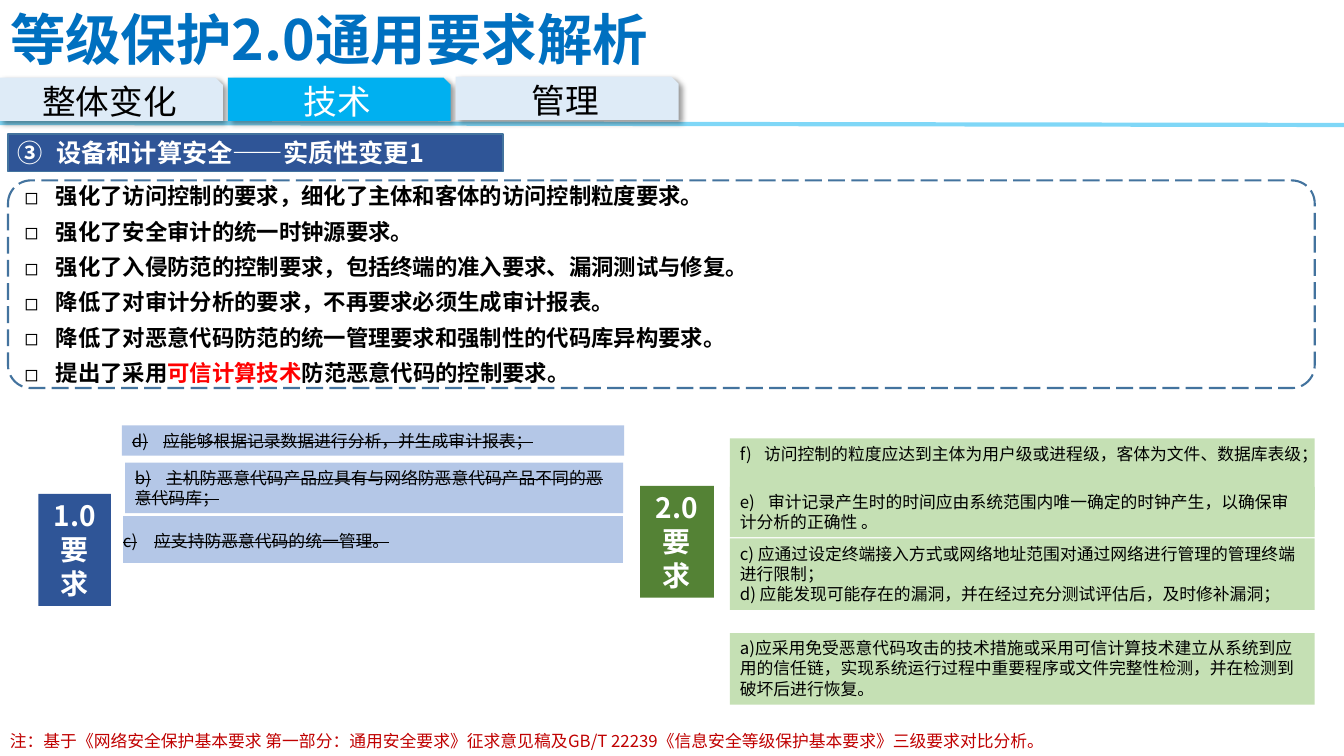
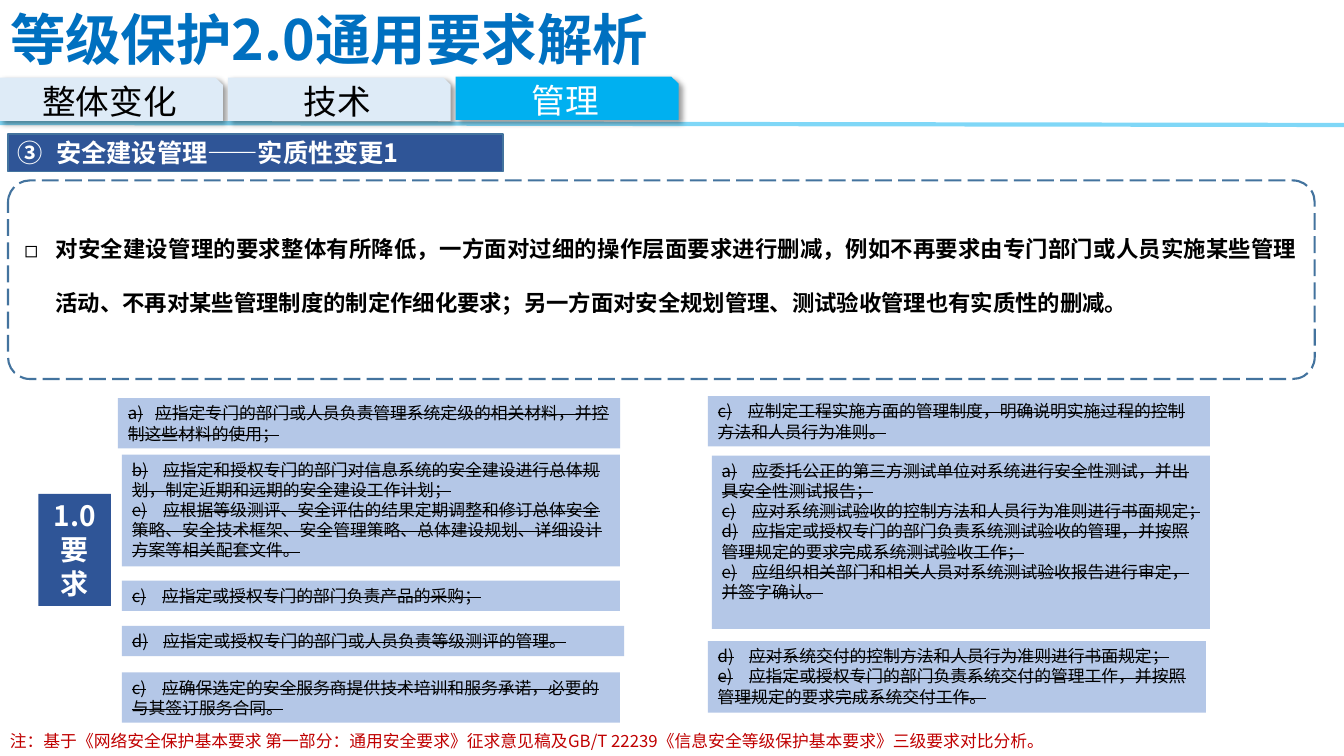
import pptx
import pptx.util
import pptx.dml.color
import pptx.enum.dml
import pptx.enum.shapes
import pptx.enum.text
import pptx.oxml
import pptx.oxml.ns

PX = 9144  # 100 px to the inch
FONT = "Noto Sans CJK SC"
COLORS = {
    "title": "0070C0", "accent": "00B0F0", "tab": "DEEBF7", "navy": "2F5597",
    "outline": "43739E", "old": "B4C7E7", "new": "C5E0B4", "green": "548235",
    "note": "C00000", "red": "FF0000", "black": "000000", "white": "FFFFFF",
}
RGB = {name: pptx.dml.color.RGBColor.from_string(value) for name, value in COLORS.items()}
ALIGN = pptx.enum.text.PP_ALIGN
ANCHOR = pptx.enum.text.MSO_ANCHOR
PRESET = pptx.enum.shapes.MSO_SHAPE
qn = pptx.oxml.ns.qn
NS = pptx.oxml.ns.nsdecls("a")

# Shared wording
TITLE = "等级保护2.0通用要求解析"
TABS = [("整体变化", 0, 77), ("技术", 226, 77), ("管理", 452, 76)]
NOTE = ("注：基于《网络安全保护基本要求 第一部分：通用安全要求》征求意见稿及GB/T 22239"
        "《信息安全等级保护基本要求》三级要求对比分析。")
OLD_BADGE = ("1.0\n要求", (38, 490, 72, 111), "navy")
NEW_BADGE = ("2.0\n要求", (635, 482, 73, 111), "green")

# Cards: box, fill, tab position, clauses; clauses of the old standard are struck out
PAGES = [
    {
        "active": "技术",
        "heading": "设备和计算安全——实质性变更1",
        "panel_height": 206,
        "panel_bottom": 5,
        "line_spacing": 1,
        "points": [
            ["强化了访问控制的要求，细化了主体和客体的访问控制粒度要求。"],
            ["强化了安全审计的统一时钟源要求。"],
            ["强化了入侵防范的控制要求，包括终端的准入要求、漏洞测试与修复。"],
            ["降低了对审计分析的要求，不再要求必须生成审计报表。"],
            ["降低了对恶意代码防范的统一管理要求和强制性的代码库异构要求。"],
            ["提出了采用", "可信计算技术", "防范恶意代码的控制要求。"],
        ],
        "badges": [OLD_BADGE, NEW_BADGE],
        "cards": [
            ((724, 435, 580, 71), "new", 24,
             ["f)\t访问控制的粒度应达到主体为用户级或进程级，客体为文件、数据库表级；"]),
            ((724, 534, 580, 71), "new", 24,
             ["c) 应通过设定终端接入方式或网络地址范围对通过网络进行管理的管理终端进行限制；",
              "d) 应能发现可能存在的漏洞，并在经过充分测试评估后，及时修补漏洞；"]),
            ((724, 483, 580, 50), "new", 28,
             ["e)\t审计记录产生时的时间应由系统范围内唯一确定的时钟产生，以确保审计分析的正确性 。"]),
            ((121, 422, 498, 30), "old", 31,
             ["d)\t应能够根据记录数据进行分析，并生成审计报表；"]),
            ((124, 459, 494, 50), "old", 31,
             ["b)\t主机防恶意代码产品应具有与网络防恶意代码产品不同的恶意代码库；"]),
            ((724, 628, 580, 71), "new", 24,
             ["a)应采用免受恶意代码攻击的技术措施或采用可信计算技术建立从系统到应用的信任链，"
              "实现系统运行过程中重要程序或文件完整性检测，并在检测到破坏后进行恢复。"]),
        ],
        "table": "c)\t应支持防恶意代码的统一管理。",
    },
    {
        "active": "管理",
        "heading": "安全建设管理——实质性变更1",
        "panel_height": 197,
        "panel_bottom": 40,
        "line_spacing": 2,
        "points": [
            ["对安全建设管理的要求整体有所降低，一方面对过细的操作层面要求进行删减，"
             "例如不再要求由专门部门或人员实施某些管理活动、不再对某些管理制度的制定作细化要求；"
             "另一方面对安全规划管理、测试验收管理也有实质性的删减。"],
        ],
        "badges": [OLD_BADGE],
        "cards": [
            ((117, 395, 498, 50), "old", 27,
             ["a)\t应指定专门的部门或人员负责管理系统定级的相关材料，并控制这些材料的使用；"]),
            ((121, 451, 494, 111), "old", 31,
             ["b)\t应指定和授权专门的部门对信息系统的安全建设进行总体规划，制定近期和远期的安全建设工作计划；",
              "e)\t应根据等级测评、安全评估的结果定期调整和修订总体安全策略、安全技术框架、"
              "安全管理策略、总体建设规划、详细设计方案等相关配套文件。"]),
            ((121, 576, 494, 30), "old", 30,
             ["c)\t应指定或授权专门的部门负责产品的采购；"]),
            ((121, 621, 498, 30), "old", 31,
             ["d)\t应指定或授权专门的部门或人员负责等级测评的管理。"]),
            ((121, 667, 494, 50), "old", 30,
             ["c)\t应确保选定的安全服务商提供技术培训和服务承诺，必要的与其签订服务合同。"]),
            ((702, 393, 498, 50), "old", 30,
             ["c)\t应制定工程实施方面的管理制度，明确说明实施过程的控制方法和人员行为准则。"]),
            ((706, 452, 494, 172), "old", 30,
             ["a)\t应委托公正的第三方测试单位对系统进行安全性测试，并出具安全性测试报告；",
              "c)\t应对系统测试验收的控制方法和人员行为准则进行书面规定；",
              "d)\t应指定或授权专门的部门负责系统测试验收的管理，并按照管理规定的要求完成系统测试验收工作；",
              "e)\t应组织相关部门和相关人员对系统测试验收报告进行审定，并签字确认。"]),
            ((702, 636, 494, 71), "old", 31,
             ["d)\t应对系统交付的控制方法和人员行为准则进行书面规定；",
              "e)\t应指定或授权专门的部门负责系统交付的管理工作，并按照管理规定的要求完成系统交付工作。"]),
        ],
        "table": None,
    },
]


def add_block(slide, preset, box, fill=None):
    """Add a shape without line or shadow; no fill unless one is given."""
    block = slide.shapes.add_shape(preset, *[v * PX for v in box])
    block.shadow.inherit = False
    block.line.fill.background()
    if fill:
        block.fill.solid()
        block.fill.fore_color.rgb = RGB[fill]
    else:
        block.fill.background()
    block.text_frame.word_wrap = True
    block.text_frame.vertical_anchor = ANCHOR.MIDDLE
    return block


def style(frame, size, color, align=ALIGN.LEFT, bold=False, strike=False, hang=0, extras=()):
    """Format every paragraph; extras are bullet or tab elements as XML."""
    for paragraph in frame.paragraphs:
        paragraph.alignment = align
        properties = paragraph._p.get_or_add_pPr()
        if hang:
            properties.set("marL", str(hang * PX))
            properties.set("indent", str(-hang * PX))
        for extra in extras:
            properties.append(pptx.oxml.parse_xml(extra))
        for run in paragraph.runs:
            run.font.size = pptx.util.Pt(size)
            run.font.bold = bold
            run.font.color.rgb = RGB[color]
            run.font.name = FONT
            run_properties = run._r.get_or_add_rPr()
            run_properties.append(pptx.oxml.parse_xml(f'<a:ea {NS} typeface="{FONT}"/>'))
            if strike:
                run_properties.set("strike", "sngStrike")


deck = pptx.Presentation()
deck.slide_width = 1333 * PX
deck.slide_height = 750 * PX

for page in PAGES:
    slide = deck.slides.add_slide(deck.slide_layouts[5])

    # Title
    title = slide.shapes.title
    title.left, title.top, title.width, title.height = 0, 1 * PX, 861 * PX, 75 * PX
    title.text_frame.text = TITLE
    title.text_frame.auto_size = pptx.enum.text.MSO_AUTO_SIZE.NONE
    title.text_frame.vertical_anchor = ANCHOR.MIDDLE
    style(title.text_frame, 39.6, "title", ALIGN.JUSTIFY, bold=True)

    # Rule under the tabs
    rule = slide.shapes.add_connector(
        pptx.enum.shapes.MSO_CONNECTOR.STRAIGHT, 0, 122 * PX, 1333 * PX, 124 * PX)
    rule.line.width = pptx.util.Pt(3)
    rule.line.color.rgb = RGB["accent"]
    rule_color = next(rule._element.spPr.iter(qn("a:srgbClr")))
    rule_color.append(pptx.oxml.parse_xml(f'<a:alpha {NS} val="50000"/>'))
    rule._element.spPr.append(pptx.oxml.parse_xml(f"<a:effectLst {NS}/>"))

    # Navigation tabs
    for label, left, top in TABS:
        active = label == page["active"]
        tab = add_block(slide, PRESET.SNIP_1_RECTANGLE, (left, top, 221, 43),
                        "accent" if active else "tab")
        tab._element.spPr.find(qn("a:effectLst")).append(pptx.oxml.parse_xml(
            f'<a:outerShdw {NS} blurRad="50800" dist="38100" dir="2700000" algn="tl" '
            'rotWithShape="0"><a:srgbClr val="000000"><a:alpha val="40000"/></a:srgbClr>'
            '</a:outerShdw>'))
        tab.text_frame.text = label
        style(tab.text_frame, 24, "white" if active else "black", ALIGN.CENTER)

    # Numbered section heading
    heading = add_block(slide, PRESET.RECTANGLE, (8, 133, 491, 37), "navy")
    heading.line.color.rgb = RGB["outline"]
    heading.line.width = pptx.util.Pt(1)
    heading.text_frame.text = page["heading"]
    style(heading.text_frame, 18, "white", ALIGN.JUSTIFY, bold=True, hang=38,
          extras=[f'<a:buFont {NS} typeface="+mj-lt"/>',
                  f'<a:buAutoNum {NS} type="circleNumDbPlain" startAt="3"/>'])

    # Summary panel
    panel = add_block(slide, PRESET.ROUNDED_RECTANGLE, (8, 179, 1296, page["panel_height"]))
    panel.adjustments[0] = 0.11
    panel.line.color.rgb = RGB["outline"]
    panel.line.width = pptx.util.Pt(1.5)
    panel.line.dash_style = pptx.enum.dml.MSO_LINE.LONG_DASH
    summary = panel.text_frame
    summary.margin_bottom = page["panel_bottom"] * PX
    for index, parts in enumerate(page["points"]):
        point = summary.add_paragraph() if index else summary.paragraphs[0]
        point.line_spacing = page["line_spacing"]
        point.space_after = pptx.util.Pt(6)
        for part in parts:
            point.add_run().text = part
    style(summary, 16, "black", ALIGN.JUSTIFY, bold=True, hang=31,
          extras=[f'<a:buFont {NS} typeface="{FONT}"/>', f'<a:buChar {NS} char="◻"/>'])
    for point in summary.paragraphs:
        for emphasis in point.runs[1:2]:
            emphasis.font.color.rgb = RGB["red"]

    # Version badges
    for label, box, fill in page["badges"]:
        badge = add_block(slide, PRESET.RECTANGLE, box, fill)
        badge.text_frame.vertical_anchor = ANCHOR.TOP
        badge.text_frame.text = label
        style(badge.text_frame, 20, "white", ALIGN.CENTER, bold=True)

    # Clause cards
    for box, fill, stop, clauses in page["cards"]:
        card = add_block(slide, PRESET.RECTANGLE, box, fill)
        card.text_frame.vertical_anchor = ANCHOR.TOP
        card.text_frame.text = "\n".join(clauses)
        style(card.text_frame, 12, "black", strike=fill == "old",
              extras=[f'<a:tabLst {NS}><a:tab pos="{stop * PX}" algn="l"/></a:tabLst>'])

    # Single-cell clause table
    if page["table"]:
        clause_table = slide.shapes.add_table(
            1, 1, 121 * PX, 511 * PX, 498 * PX, 48 * PX).table
        clause_table.first_row = clause_table.horz_banding = False
        clause = clause_table.cell(0, 0)
        clause.fill.solid()
        clause.fill.fore_color.rgb = RGB["old"]
        clause.margin_left = clause.margin_right = clause.margin_top = 1 * PX
        clause.margin_bottom = 0
        clause.vertical_anchor = ANCHOR.MIDDLE
        clause.text_frame.text = page["table"]
        style(clause.text_frame, 12, "black", strike=True,
              extras=[f'<a:tabLst {NS}><a:tab pos="{31 * PX}" algn="l"/></a:tabLst>'])
        for position, side in enumerate(["lnL", "lnR", "lnT", "lnB"]):
            clause._tc.tcPr.insert(position, pptx.oxml.parse_xml(
                f'<a:{side} {NS} w="12700"><a:solidFill><a:srgbClr val="{COLORS["white"]}"/>'
                f'</a:solidFill></a:{side}>'))

    # Footnote
    note = slide.shapes.add_textbox(0, 720 * PX, 1200 * PX, 30 * PX)
    note.text_frame.word_wrap = True
    note.text_frame.text = NOTE
    style(note.text_frame, 12, "note")

deck.save("out.pptx")
